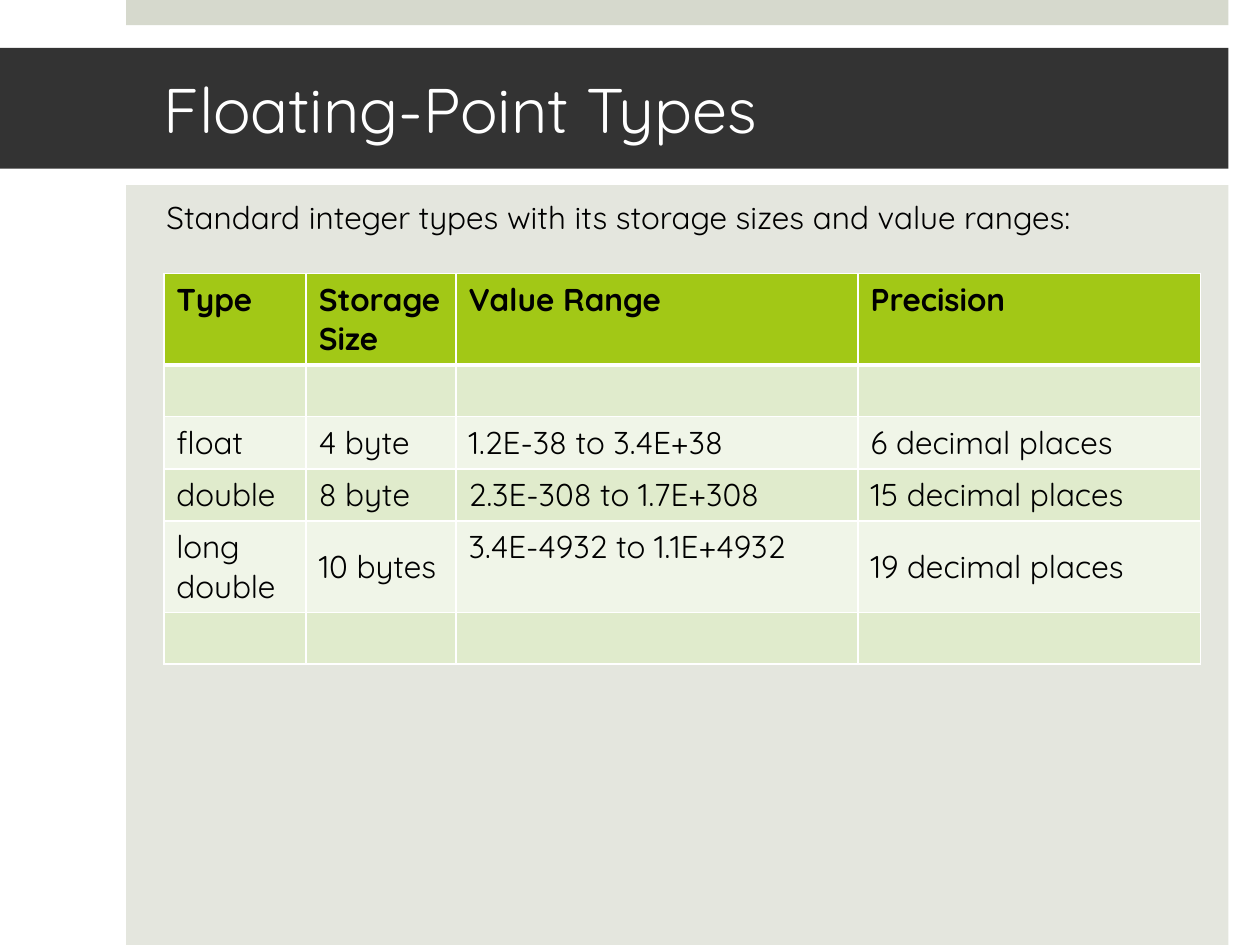
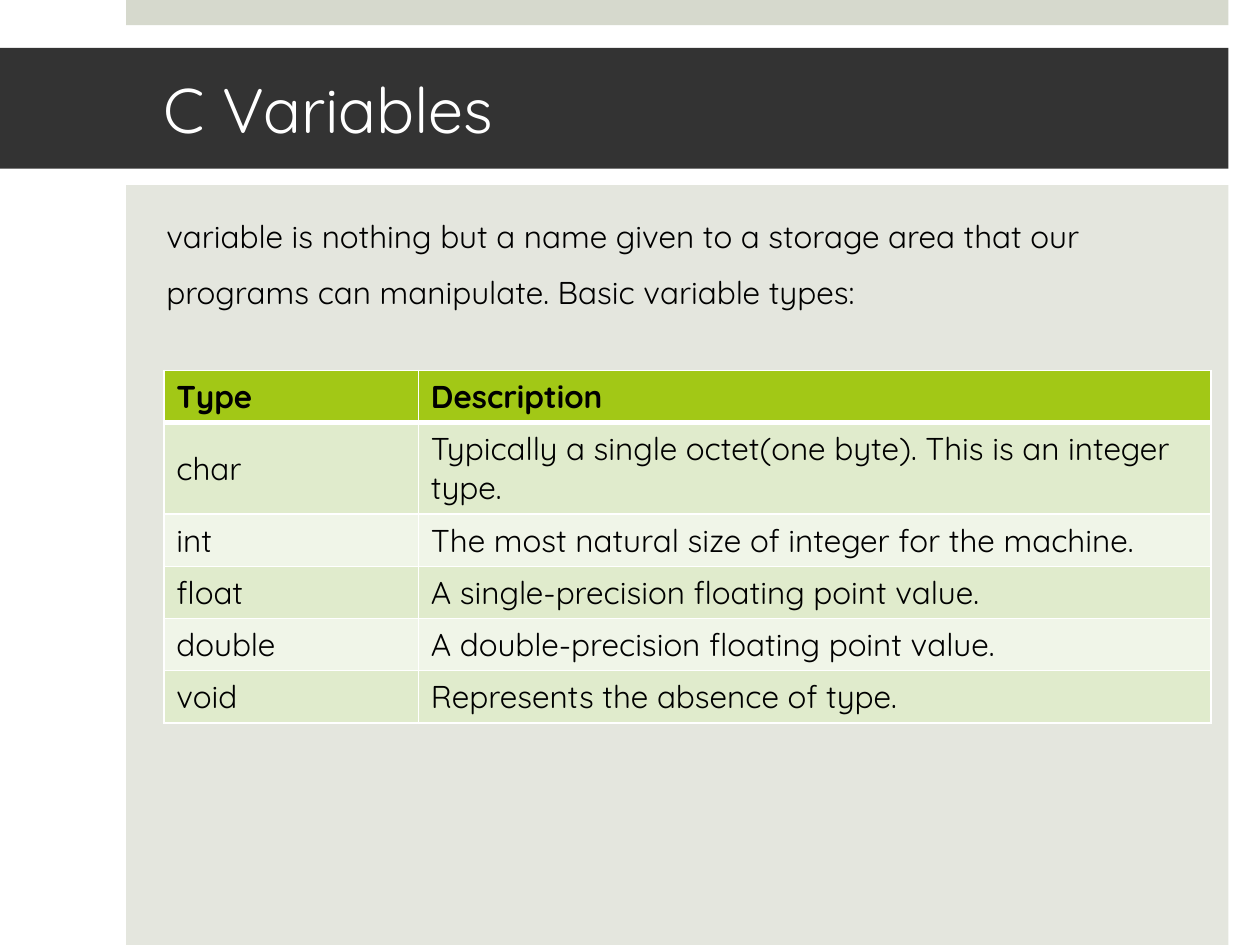
from lxml import etree
from pptx import Presentation
from pptx import util as u
from pptx.dml.color import RGBColor
from pptx.enum import shapes, text
from pptx.oxml.ns import qn

WHITE = RGBColor(0xFF, 0xFF, 0xFF)
BLACK = RGBColor(0x00, 0x00, 0x00)
CHARCOAL = RGBColor(0x33, 0x33, 0x33)
SAGE = RGBColor(0xD6, 0xD9, 0xCD)
PALE_SAGE = RGBColor(0xE4, 0xE6, 0xDE)
LIME = RGBColor(0xA2, 0xC8, 0x16)
ROW_FILLS = (RGBColor(0xE0, 0xEB, 0xCC), RGBColor(0xF0, 0xF5, 0xE8))

PANEL_LEFT, PANEL_WIDTH = 1, 8.75
CONTENT_LEFT = 1.3
ROW_HEIGHT, TALL_ROW = 0.41, 0.7


class Lesson:
    """Holds the deck's style and the page being filled."""

    font = "Quicksand"
    title_size = u.Pt(36)
    body_size = u.Pt(18)

    def __init__(self):
        self.deck = Presentation()
        self.deck.slide_width = u.Inches(10)
        self.deck.slide_height = u.Inches(7.5)
        self.page = None

    def add_page(self, title, intro, line_spacing=1.0):
        self.page = self.deck.slides.add_slide(self.deck.slide_layouts[6])
        self.add_band(PANEL_LEFT, 0, PANEL_WIDTH, 0.2, SAGE)

        header = self.add_band(0, 0.38, 9.75, 0.96, CHARCOAL)
        self.set_insets(header.text_frame, CONTENT_LEFT, 0.05, 0.3)
        header.text_frame.vertical_anchor = text.MSO_ANCHOR.MIDDLE
        self.add_text(header.text_frame, title, self.title_size, WHITE)

        panel = self.add_band(PANEL_LEFT, 1.47, PANEL_WIDTH, 6.03, PALE_SAGE)
        self.set_insets(panel.text_frame, 0.32, 0.1, 0.3)
        panel.text_frame.vertical_anchor = text.MSO_ANCHOR.TOP
        self.add_text(panel.text_frame, intro, self.body_size, BLACK)
        panel.text_frame.paragraphs[0].line_spacing = line_spacing

    def add_band(self, left, top, width, height, color):
        box = self.page.shapes.add_shape(
            shapes.MSO_SHAPE.RECTANGLE, u.Inches(left), u.Inches(top),
            u.Inches(width), u.Inches(height))
        box.shadow.inherit = False
        box.fill.solid()
        box.fill.fore_color.rgb = color
        box.line.fill.background()
        return box

    def set_insets(self, frame, left, vertical, right):
        frame.word_wrap = True
        frame.margin_left, frame.margin_right = u.Inches(left), u.Inches(right)
        frame.margin_top = frame.margin_bottom = u.Inches(vertical)

    def add_text(self, frame, words, size, color, bold=False):
        para = frame.paragraphs[0]
        para.alignment = text.PP_ALIGN.LEFT
        para.font.size = size
        if words:
            span = para.add_run()
            span.text = words
            span.font.name = self.font
            span.font.size = size
            span.font.bold = bold
            span.font.color.rgb = color

    def add_table(self, top, widths, heights, rows, top_cells=()):
        """Header row first; top_cells lists (row, column) pairs not centred vertically."""
        table = self.page.shapes.add_table(
            len(rows), len(widths), u.Inches(CONTENT_LEFT), u.Inches(top),
            u.Inches(sum(widths)), u.Inches(sum(heights))).table
        for column, width in zip(table.columns, widths):
            column.width = u.Inches(width)
        for r, (row, height) in enumerate(zip(rows, heights)):
            table.rows[r].height = u.Inches(height)
            is_header = r == 0
            for c, words in enumerate(row):
                cell = table.cell(r, c)
                at_top = is_header or (r, c) in top_cells
                cell.vertical_anchor = (
                    text.MSO_ANCHOR.TOP if at_top else text.MSO_ANCHOR.MIDDLE)
                cell.fill.solid()
                cell.fill.fore_color.rgb = LIME if is_header else ROW_FILLS[(r - 1) % 2]
                self.add_text(cell.text_frame, words, self.body_size, BLACK, is_header)
                self.set_borders(cell, top=3 if r == 1 else 1, bottom=3 if is_header else 1)

    def set_borders(self, cell, top, bottom):
        properties = cell._tc.get_or_add_tcPr()
        sides = (("L", 1), ("R", 1), ("T", top), ("B", bottom))
        for position, (side, points) in enumerate(sides):
            line = etree.Element(qn(f"a:ln{side}"), w=str(u.Pt(points)))
            fill = etree.SubElement(line, qn("a:solidFill"))
            etree.SubElement(fill, qn("a:srgbClr"), val=str(WHITE))
            properties.insert(position, line)


def main():
    lesson = Lesson()

    lesson.add_page("Floating-Point Types",
                    "Standard integer types with its storage sizes and value ranges:")
    empty_row = ("",) * 4
    lesson.add_table(
        2.17, (1.13, 1.19, 3.19, 2.72),
        (TALL_ROW, ROW_HEIGHT, ROW_HEIGHT, ROW_HEIGHT, TALL_ROW, ROW_HEIGHT),
        (("Type", "Storage Size", "Value Range", "Precision"),
         empty_row,
         ("float", "4 byte", "1.2E-38 to 3.4E+38", "6 decimal places"),
         ("double", "8 byte", "2.3E-308 to 1.7E+308", "15 decimal places"),
         ("long double", "10 bytes", "3.4E-4932 to 1.1E+4932", "19 decimal places"),
         empty_row),
        top_cells=((4, 2),))

    lesson.add_page("C Variables",
                    "variable is nothing but a name given to a storage area that our "
                    "programs can manipulate. Basic variable types:", line_spacing=1.5)
    lesson.add_table(
        2.94, (2.02, 6.29), (ROW_HEIGHT, TALL_ROW) + (ROW_HEIGHT,) * 4,
        (("Type", "Description"),
         ("char", "Typically a single octet(one byte). This is an integer type."),
         ("int", "The most natural size of integer for the machine."),
         ("float", "A single-precision floating point value."),
         ("double", "A double-precision floating point value."),
         ("void", "Represents the absence of type.")))

    lesson.deck.save("out.pptx")


if __name__ == "__main__":
    main()
